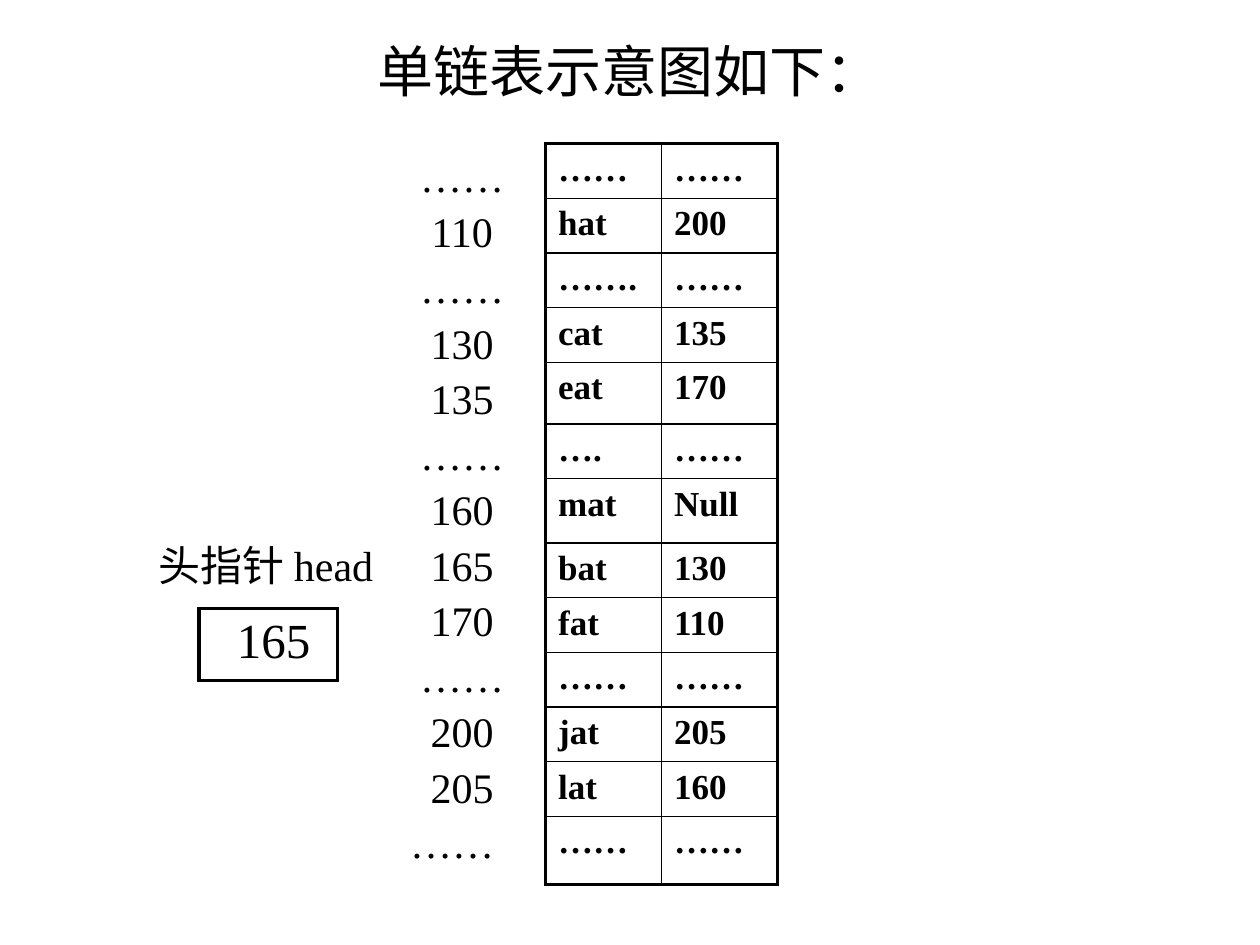
"""Slide showing how a singly linked list is stored in memory."""
from lxml import etree
from pptx import Presentation, util as u
from pptx.dml.color import RGBColor
from pptx.enum import text
from pptx.oxml import ns

BLACK = RGBColor(0, 0, 0)
FONT = "Times New Roman"
THICK, THIN = 2.25, 1
NODES = [
    ("……", "……", "……"),
    ("110", "hat", "200"),
    ("……", "…….", "……"),
    ("130", "cat", "135"),
    ("135", "eat", "170"),
    ("……", "….", "……"),
    ("160", "mat", "Null"),
    ("165", "bat", "130"),
    ("170", "fat", "110"),
    ("……", "……", "……"),
    ("200", "jat", "205"),
    ("205", "lat", "160"),
    ("……", "……", "……"),
]
ROW = 0.42
TALL = {4: 0.49, 6: 0.51, 12: 0.54}


def write(para, words, size, bold=False):
    run = para.add_run()
    run.text = words
    font = run.font
    font.name, font.size, font.bold = FONT, u.Pt(size), bold
    font.color.rgb = BLACK


def frame(cell, sides):
    props = cell._tc.get_or_add_tcPr()
    for side, width in zip("LRTB", sides):
        line = etree.SubElement(props, ns.qn(f"a:ln{side}"), w=str(u.Pt(width)))
        fill = etree.SubElement(line, ns.qn("a:solidFill"))
        etree.SubElement(fill, ns.qn("a:srgbClr"), val=str(BLACK))
    cell.fill.background()


deck = Presentation()
deck.slide_width, deck.slide_height = u.Inches(10), u.Inches(7.5)
slide = deck.slides.add_slide(deck.slide_layouts[5])

title = slide.shapes.title
title.left, title.top = u.Inches(1.45), u.Inches(0.28)
title.width, title.height = u.Inches(7.09), u.Inches(0.55)
title.text_frame.vertical_anchor = text.MSO_ANCHOR.MIDDLE
para = title.text_frame.paragraphs[0]
para.alignment = text.PP_ALIGN.CENTER
write(para, "单链表示意图如下：", 32)

box = slide.shapes.add_textbox(u.Inches(1.16), u.Inches(1.19), u.Inches(3.01), u.Inches(6.08))
body = box.text_frame
body.word_wrap = True
last = len(NODES) - 1
for row, (place, *_) in enumerate(NODES):
    para = body.add_paragraph() if row else body.paragraphs[0]
    para.line_spacing = 0.9
    para.space_before = u.Pt(5.8 if row else 0)
    tabs = etree.SubElement(para._p.get_or_add_pPr(), ns.qn("a:tabLst"))
    stop = u.Inches(2.33 if row == last else 2.41)
    etree.SubElement(tabs, ns.qn("a:tab"), pos=str(stop), algn="ctr")
    if place == "165":
        write(para, "头指针 head", 24)
    write(para, "\t" + place, 24)

high = [TALL.get(row, ROW) for row in range(len(NODES))]
grid = slide.shapes.add_table(len(NODES), 2, u.Inches(4.33), u.Inches(1.14),
                              u.Inches(1.84), u.Inches(sum(high))).table
head = slide.shapes.add_table(1, 1, u.Inches(1.58), u.Inches(4.83),
                              u.Inches(1.1), u.Inches(0.57)).table
for table in (grid, head):
    table.first_row = table.horz_banding = False

for row, (_, *pair) in enumerate(NODES):
    grid.rows[row].height = u.Inches(high[row])
    for col, words in enumerate(pair):
        cell = grid.cell(row, col)
        write(cell.text_frame.paragraphs[0], words, 20, True)
        outer = (col == 0, col == 1, row == 0, row == last)
        frame(cell, [THICK if edge else THIN for edge in outer])

cell = head.cell(0, 0)
cell.margin_left = u.Inches(0.3)
write(cell.text_frame.paragraphs[0], "165", 28)
frame(cell, [THICK] * 4)

deck.save("out.pptx")
